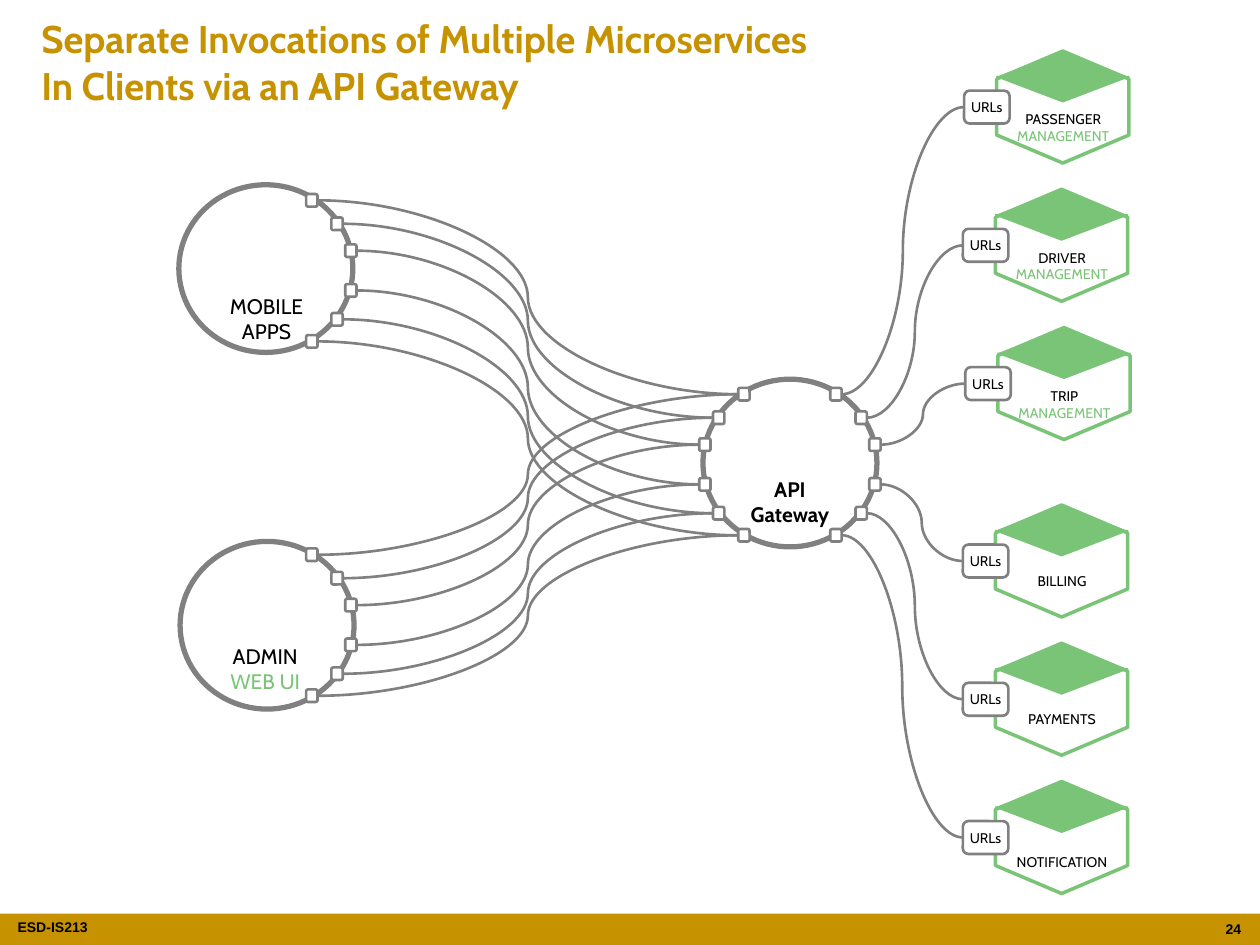
from dataclasses import dataclass

from lxml.etree import SubElement
from pptx import Presentation
from pptx.dml.color import RGBColor
from pptx.enum.shapes import MSO_CONNECTOR, MSO_SHAPE as Preset
from pptx.enum.text import MSO_ANCHOR as Anchor, PP_ALIGN as Align
from pptx.oxml.ns import qn
from pptx.util import Pt

GOLD, GREEN, GRAY, WHITE, BLACK = "C69200", "7AC477", "808080", "FFFFFF", "000000"
HUB_WIDTH, HUB_HEIGHT = 99.4, 95.8
PORT_WIDTH, PORT_HEIGHT = 6.5, 7.2
PORT_OFFSETS = [(26.3, -40.3), (40.7, -26.9), (48.6, -11.5),
                (48.6, 11.2), (40.7, 27.7), (26.3, 40.3)]
BADGE_WIDTH, BADGE_HEIGHT, BADGE_OFFSET = 26, 18.8, -56.4
SERVICE_PITCH = 79


@dataclass
class Hub:
    """A circle by its center, with the center that its ports are set around."""
    x: float
    y: float
    ports_x: float
    ports_y: float

    def ports(self, side):
        return [(self.ports_x + side * dx, self.ports_y + dy) for dx, dy in PORT_OFFSETS]

    def link_ends(self, side):
        return [(x + side * PORT_WIDTH / 2, y) for x, y in self.ports(side)]


MOBILE = Hub(151.9, 153.5, 151.9, 154.8)
ADMIN = Hub(152.6, 357.3, 151.9, 357.3)
GATEWAY = Hub(451.4, 264.6, 451.4, 265.6)


def color(value):
    return RGBColor.from_string(value)


def add_preset(slide, preset, left, top, width, height, fill, line=None, weight=1.5):
    shape = slide.shapes.add_shape(preset, Pt(left), Pt(top), Pt(width), Pt(height))
    shape.shadow.inherit = False
    shape.fill.solid()
    shape.fill.fore_color.rgb = color(fill)
    if line:
        shape.line.color.rgb = color(line)
        shape.line.width = Pt(weight)
    else:
        shape.line.fill.background()
    return shape


def write(shape, lines, size, font="Cabin", bold=False, align=Align.CENTER,
          anchor=Anchor.TOP, insets=(7.2, 3.6, 7.2, 3.6)):
    """Fill a shape with (text, color) paragraphs."""
    frame = shape.text_frame
    frame.word_wrap = True
    frame.vertical_anchor = anchor
    (frame.margin_left, frame.margin_top,
     frame.margin_right, frame.margin_bottom) = map(Pt, insets)
    for index, (text, text_color) in enumerate(lines):
        paragraph = frame.add_paragraph() if index else frame.paragraphs[0]
        paragraph.text = text
        paragraph.alignment = align
        paragraph.font.name = font
        paragraph.font.size = Pt(size)
        paragraph.font.bold = bold
        paragraph.font.color.rgb = color(text_color)


def add_text(slide, left, top, width, height, lines, size, **style):
    box = slide.shapes.add_textbox(Pt(left), Pt(top), Pt(width), Pt(height))
    write(box, lines, size, **style)


def add_link(slide, start, end):
    link = slide.shapes.add_connector(MSO_CONNECTOR.CURVE, *map(Pt, (*start, *end)))
    link.line.color.rgb = color(GRAY)
    link.line.width = Pt(1.5)
    SubElement(link._element.spPr, qn("a:effectLst"))


def add_hub(slide, hub, sides=(1,)):
    circle = add_preset(slide, Preset.OVAL, hub.x - HUB_WIDTH / 2, hub.y - HUB_HEIGHT / 2,
                        HUB_WIDTH, HUB_HEIGHT, WHITE, GRAY, 3)
    for side in sides:
        for x, y in hub.ports(side):
            add_preset(slide, Preset.ROUNDED_RECTANGLE, x - PORT_WIDTH / 2,
                       y - PORT_HEIGHT / 2, PORT_WIDTH, PORT_HEIGHT, WHITE, GRAY)
    return circle


def add_service(slide, x, y, lines, label_offset):
    """Draw a service block around its center and return where its link ends."""
    body = add_preset(slide, Preset.HEXAGON, x - 32, y - 37.8, 64, 75.6, WHITE, GREEN, 2)
    body.rotation = 90
    add_text(slide, x - 36.4, y + label_offset, 73.4, 10 * len(lines), lines, 8)
    add_preset(slide, Preset.ISOSCELES_TRIANGLE, x - 36.9, y - 31, 73.4, 13.7,
               GREEN, GREEN, 0.75)
    lid_front = add_preset(slide, Preset.ISOSCELES_TRIANGLE, x - 37.8, y - 17.4, 75.6, 14.4,
                           GREEN, GREEN, 0.75)
    lid_front.rotation = 180
    badge_left = x + BADGE_OFFSET
    badge = add_preset(slide, Preset.ROUNDED_RECTANGLE, badge_left, y - BADGE_HEIGHT / 2,
                       BADGE_WIDTH, BADGE_HEIGHT, WHITE, GRAY)
    write(badge, [("URLs", BLACK)], 8, anchor=Anchor.MIDDLE, insets=(2.9, 3.6, 2.9, 3.6))
    return badge_left, y


def add_services(slide):
    management = ("MANAGEMENT", GREEN)
    upper = [(607.3, [("PASSENGER", BLACK), management], -1.4),
             (606.6, [("DRIVER", BLACK), management], -1.4),
             (608, [("TRIP", BLACK), management], -1.4)]
    lower = [(606.6, [("BILLING", BLACK)], 2.9),
             (606.6, [("PAYMENTS", BLACK)], 2.9),
             (606.6, [("NOTIFICATION", BLACK)], 5.8)]
    return [add_service(slide, x, first_y + row * SERVICE_PITCH, lines, offset)
            for first_y, services in ((61.2, upper), (320.6, lower))
            for row, (x, lines, offset) in enumerate(services)]


def add_footer(slide):
    add_preset(slide, Preset.RECTANGLE, 0, 522, 720, 18, GOLD)
    add_text(slide, 10, 521.3, 93, 18, [("ESD-IS213", BLACK)], 8, font="Arial", bold=True,
             align=Align.LEFT, insets=(0, 3.6, 0, 3.6))
    add_text(slide, 688.3, 522.7, 28, 17.3, [("24", BLACK)], 8, font="Arial", bold=True,
             align=Align.RIGHT)


def main():
    presentation = Presentation()
    presentation.slide_width, presentation.slide_height = Pt(720), Pt(540)
    slide = presentation.slides.add_slide(presentation.slide_layouts[6])

    add_footer(slide)
    title = "Separate Invocations of Multiple Microservices\vIn Clients via an API Gateway"
    add_text(slide, 16.6, 5, 686.9, 60.5, [(title, GOLD)], 22, bold=True,
             align=Align.LEFT, anchor=Anchor.MIDDLE)

    service_ends = add_services(slide)
    add_hub(slide, ADMIN)
    add_text(slide, 110.9, 364.3, 81.4, 36, [("ADMIN", BLACK), ("WEB UI", GREEN)], 12)
    add_hub(slide, MOBILE)
    add_text(slide, 111.6, 164.2, 81.4, 36, [("MOBILE APPS", BLACK)], 12)

    for start, end in zip(service_ends, GATEWAY.link_ends(1)):
        add_link(slide, start, end)
    for client in (ADMIN, MOBILE):
        for start, end in zip(GATEWAY.link_ends(-1), client.link_ends(1)):
            add_link(slide, start, end)

    gateway = add_hub(slide, GATEWAY, sides=(1, -1))
    write(gateway, [("API", BLACK), ("Gateway", BLACK)], 12, bold=True,
          anchor=Anchor.MIDDLE, insets=(0, 44, 0, 0))

    presentation.save("out.pptx")


if __name__ == "__main__":
    main()
